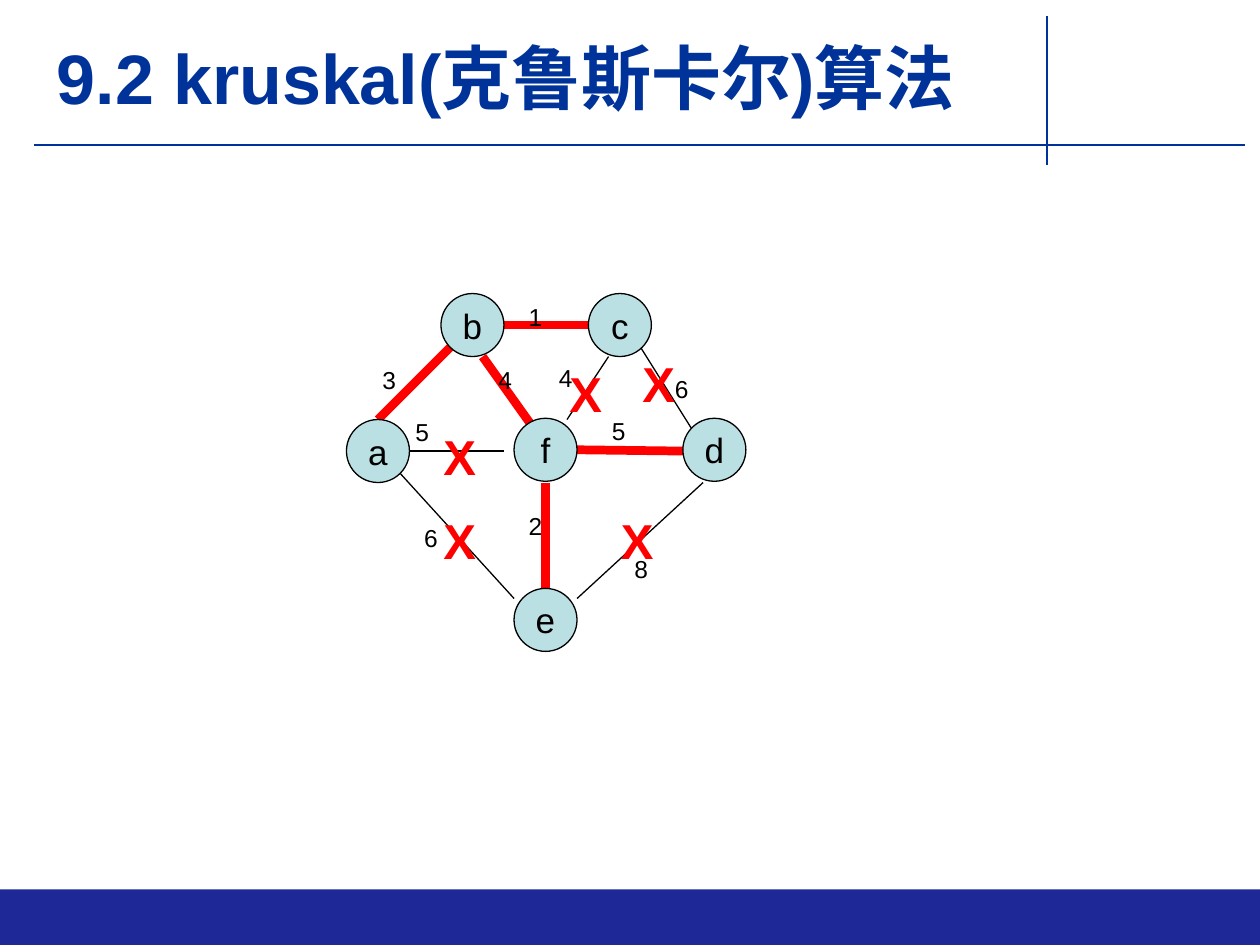
from dataclasses import dataclass
from pptx import Presentation
from pptx.dml.color import RGBColor as Rgb
from pptx.enum.shapes import MSO_CONNECTOR as Conn, MSO_SHAPE as Form
from pptx.enum.text import MSO_ANCHOR as Anchor, MSO_AUTO_SIZE as Auto, PP_ALIGN as Align
from pptx.oxml.ns import qn
from pptx.util import Inches, Pt
from lxml.etree import SubElement


@dataclass(frozen=True)
class Theme:
    """Colours, font and type sizes of the slide."""
    navy: Rgb = Rgb.from_string("003399")
    band: Rgb = Rgb.from_string("1E2896")
    node: Rgb = Rgb.from_string("BBE0E3")
    red: Rgb = Rgb.from_string("FF0000")
    black: Rgb = Rgb.from_string("000000")
    font: str = "Arial"
    title: int = 40
    mark: int = 28
    name: int = 20
    cost: int = 14


THEME = Theme()
SIZE = 0.5

NODES = {
    "f": (1.58, 1.24), "e": (1.58, 2.59), "d": (2.92, 1.24),
    "b": (1, 0.25), "a": (0.25, 1.25), "c": (2.17, 0.25),
}
TREE = [
    (0.25, 1, 0.83, 0.42), (1.25, 0.25, 2, 0.25), (1.08, 0.5, 1.5, 1.09),
    (1.83, 1.24, 2.67, 1.25), (1.58, 1.5, 1.58, 2.34),
]
REST = [
    (2.33, 0.42, 2.75, 1.09), (2.83, 1.5, 1.83, 2.42), (1.33, 2.42, 0.42, 1.42),
    (2.08, 0.5, 1.75, 1), (0.5, 1.25, 1.25, 1.25),
]
COSTS = [
    ("3", 0.34, 0.69), ("1", 1.5, 0.19), ("6", 2.66, 0.76), ("4", 1.26, 0.69),
    ("4", 1.74, 0.67), ("5", 2.16, 1.09), ("8", 2.34, 2.19), ("2", 1.5, 1.85),
    ("6", 0.67, 1.94), ("5", 0.6, 1.1),
]
MARKS = [(1.96, 0.79), (0.96, 1.29), (2.54, 0.71), (2.37, 1.96), (0.96, 1.96)]


def write(shape, text, size, color, bold=False, align=Align.CENTER):
    """Put one styled run into a shape."""
    para = shape.text_frame.paragraphs[0]
    para.alignment = align
    run = para.add_run()
    run.text = text
    font = run.font
    font.name, font.size, font.bold = THEME.font, Pt(size), bold
    font.color.rgb = color


def rule(slide, ends, color, width):
    """Draw a straight line without a shadow."""
    line = slide.shapes.add_connector(Conn.STRAIGHT, *map(Inches, ends))
    line.line.color.rgb = color
    line.line.width = Pt(width)
    SubElement(line._element.spPr, qn("a:effectLst"))


def label(slide, text, mid, box, size, color, bold=False, align=Align.CENTER, wrap=False):
    """Place a text box around a middle point."""
    (x, y), (w, h) = mid, box
    note = slide.shapes.add_textbox(*map(Inches, (x - w / 2, y - h / 2, w, h)))
    note.text_frame.word_wrap = wrap
    note.text_frame.auto_size = Auto.SHAPE_TO_FIT_TEXT
    write(note, text, size, color, bold, align)


def head(slide, x, y, w, h):
    """Set the title and the crossing rules in the top region."""
    title = slide.shapes.title
    title.left, title.top = Inches(x + 0.08), Inches(y + 0.08)
    title.width, title.height = Inches(7.79), Inches(0.79)
    title.text_frame.vertical_anchor = Anchor.MIDDLE
    title.text_frame.auto_size = Auto.NONE
    write(title, "9.2 kruskal(克鲁斯卡尔)算法", THEME.title, THEME.navy, True, Align.LEFT)
    base, post = y + 1.02, x + 8.04
    rule(slide, (x, base, x + w, base), THEME.navy, 1.5)
    rule(slide, (post, y, post, y + h), THEME.navy, 1.5)


def foot(slide, x, y, w, h):
    """Fill the bottom band."""
    band = slide.shapes.add_shape(Form.RECTANGLE, *map(Inches, (x, y, w, h)))
    band.shadow.inherit = False
    band.fill.solid()
    band.fill.fore_color.rgb = THEME.band
    band.line.fill.background()


def node(slide, name, x, y):
    """Draw one named vertex around its centre."""
    disc = slide.shapes.add_shape(
        Form.OVAL, Inches(x - SIZE / 2), Inches(y - SIZE / 2), Inches(SIZE), Inches(SIZE))
    disc.shadow.inherit = False
    disc.fill.solid()
    disc.fill.fore_color.rgb = THEME.node
    disc.line.color.rgb = THEME.black
    disc.line.width = Pt(0.75)
    disc.text_frame.word_wrap = False
    disc.text_frame.vertical_anchor = Anchor.MIDDLE
    write(disc, name, THEME.name, THEME.black)


def graph(slide, x, y):
    """Draw the weighted graph, its spanning tree and the rejected edges."""
    for edges, color, width in ((REST, THEME.black, 0.75), (TREE, THEME.red, 5)):
        for a, b, c, d in edges:
            rule(slide, (x + a, y + b, x + c, y + d), color, width)
    for text, dx, dy in COSTS:
        label(slide, text, (x + dx, y + dy), (1.06, 0.34), THEME.cost, THEME.black)
    for name, (dx, dy) in NODES.items():
        node(slide, name, x + dx, y + dy)
    for dx, dy in MARKS:
        label(slide, "X", (x + dx, y + dy), (0.58, 0.57), THEME.mark, THEME.red,
              True, Align.LEFT, True)


def main():
    """Build and save the slide."""
    deck = Presentation()
    deck.slide_width, deck.slide_height = Inches(10), Inches(7.5)
    slide = deck.slides.add_slide(deck.slide_layouts[5])
    foot(slide, 0, 7.06, 10, 0.44)
    head(slide, 0.27, 0.13, 9.61, 1.18)
    graph(slide, 2.75, 2.33)
    deck.save("out.pptx")


if __name__ == "__main__":
    main()
